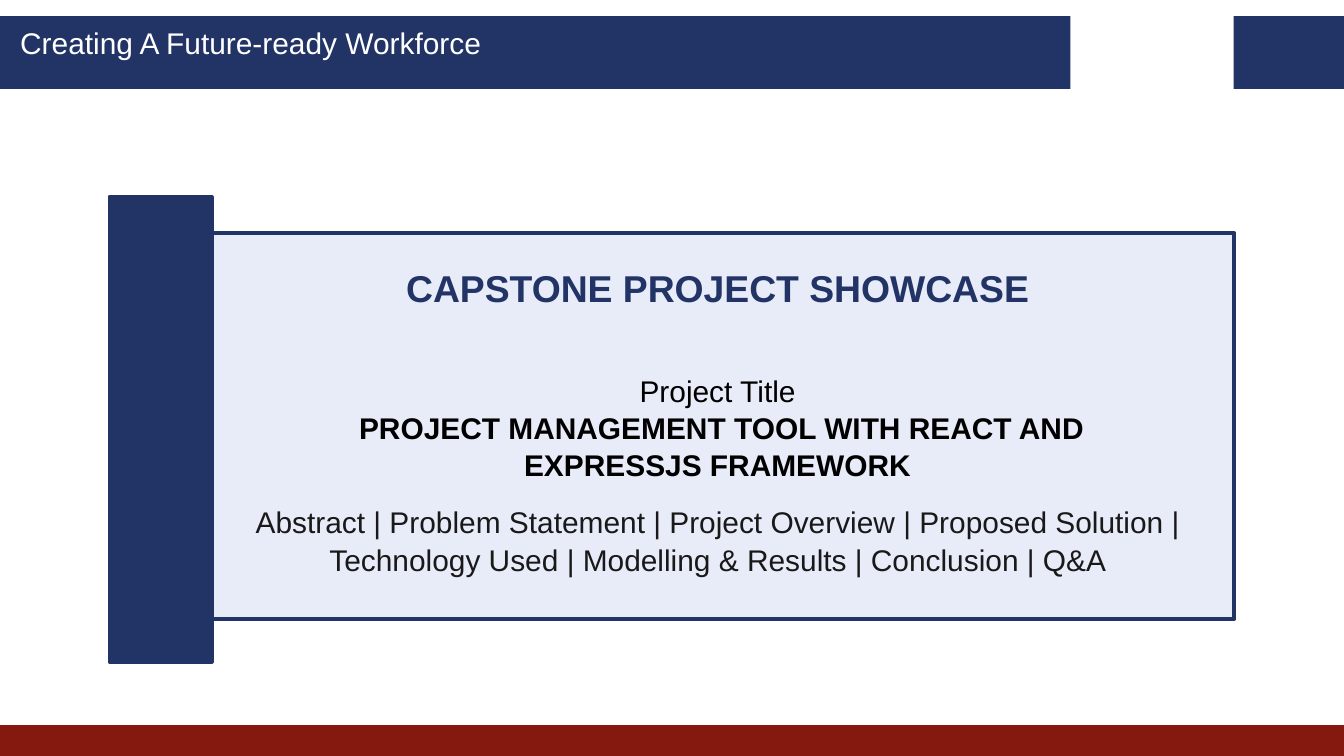
from pptx import Presentation
from pptx.dml.color import RGBColor
from pptx.enum import shapes, text
from pptx.oxml.ns import qn
from pptx.util import Inches, Pt
from lxml import etree

COLORS = {
    "navy": "223366",
    "red": "851910",
    "panel": "E8ECF8",
    "white": "FFFFFF",
    "black": "000000",
    "charcoal": "191919",
}
FONT = "Arial"
BORDER = Pt(4.2)


def rgb(name):
    return RGBColor.from_string(COLORS[name])


def add_block(slide, left, top, width, height, fill, border=None):
    """Add a filled rectangle, with a round-cornered border if one is named."""
    block = slide.shapes.add_shape(
        shapes.MSO_SHAPE.RECTANGLE,
        Inches(left), Inches(top), Inches(width), Inches(height))
    block.shadow.inherit = False
    block.fill.solid()
    block.fill.fore_color.rgb = rgb(fill)
    if border:
        block.line.color.rgb = rgb(border)
        block.line.width = BORDER
        etree.SubElement(block.line._get_or_add_ln(), qn("a:round"))
    else:
        block.line.fill.background()


def add_text(slide, box, lines, size=32, color="black", spacing=39.9,
             align=text.PP_ALIGN.CENTER, holder=None):
    """Write (wording, bold) lines into a new text box or a given placeholder."""
    left, top, width, height = map(Inches, box)
    if holder is None:
        holder = slide.shapes.add_textbox(left, top, width, height)
    else:
        holder.left, holder.top = left, top
        holder.width, holder.height = width, height
    frame = holder.text_frame
    frame.word_wrap = True
    frame.auto_size = text.MSO_AUTO_SIZE.NONE
    frame.vertical_anchor = text.MSO_ANCHOR.TOP
    frame.margin_left = frame.margin_right = 0
    frame.margin_top = frame.margin_bottom = 0
    for index, (wording, bold) in enumerate(lines):
        paragraph = frame.add_paragraph() if index else frame.paragraphs[0]
        paragraph.alignment = align
        paragraph.line_spacing = Pt(spacing)
        paragraph.space_before = Pt(0)
        run = paragraph.add_run()
        run.text = wording
        run.font.name = FONT
        run.font.size = Pt(size)
        run.font.bold = bold
        run.font.color.rgb = rgb(color)


def add_bands(slide):
    add_block(slide, 0, 0.27, 20, 1.02, "navy", border="navy")
    add_block(slide, 0, 10.79, 20, 0.46, "red")
    add_block(slide, 15.93, 0.14, 2.43, 1.28, "white")
    add_text(slide, (0.3, 0.36, 7.55, 0.8),
             [("Creating A Future-ready Workforce", False)],
             color="white", spacing=38.4, align=text.PP_ALIGN.LEFT)


def add_showcase(slide):
    add_block(slide, 2.62, 3.47, 15.75, 5.74, "panel", border="navy")
    add_block(slide, 1.63, 2.93, 1.52, 6.92, "navy", border="navy")

    title = slide.shapes.title
    title.element.getparent().append(title.element)  # bring in front of the panel
    add_text(slide, (5.86, 3.95, 9.64, 0.74),
             [("CAPSTONE PROJECT SHOWCASE", True)],
             size=40, color="navy", spacing=48, holder=title)
    add_text(slide, (3.77, 7.48, 13.84, 1.18),
             [("Abstract | Problem Statement | Project Overview | Proposed Solution | "
               "Technology Used | Modelling & Results | Conclusion | Q&A", False)],
             color="charcoal")
    add_text(slide, (4.86, 5.52, 11.64, 1.71),
             [("Project Title", False),
              (" PROJECT MANAGEMENT TOOL WITH REACT AND EXPRESSJS FRAMEWORK", True)])


def main():
    deck = Presentation()
    deck.slide_width, deck.slide_height = Inches(20), Inches(11.25)
    slide = deck.slides.add_slide(deck.slide_layouts.get_by_name("Title Only"))
    add_bands(slide)
    add_showcase(slide)
    deck.save("out.pptx")


if __name__ == "__main__":
    main()
